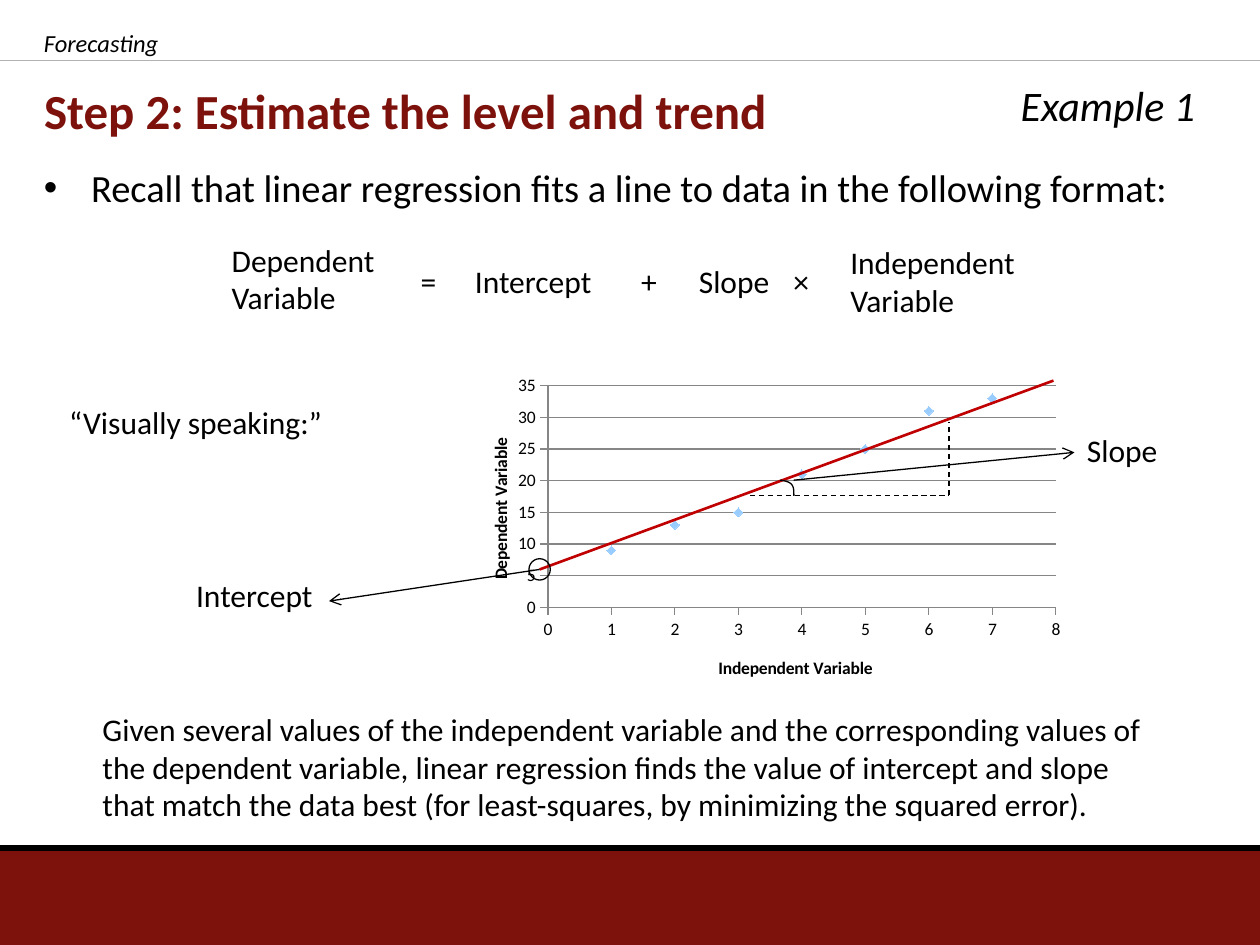
from lxml import etree
from pptx import Presentation
from pptx.chart.data import XyChartData
from pptx.dml.color import RGBColor
from pptx.enum.chart import XL_CHART_TYPE as ChartType, XL_MARKER_STYLE as Marker, XL_TICK_MARK as Tick
from pptx.enum.dml import MSO_LINE_DASH_STYLE as Dash
from pptx.enum.shapes import MSO_CONNECTOR as Connector, MSO_SHAPE as Shape
from pptx.enum.text import MSO_ANCHOR as Anchor, PP_ALIGN as Align
from pptx.oxml import parse_xml
from pptx.oxml.ns import nsdecls, qn
from pptx.util import Pt

FONT = "Calibri"
BLACK = RGBColor(0x00, 0x00, 0x00)
MAROON = RGBColor(0x7D, 0x11, 0x0C)
RULE_GRAY = RGBColor(0xB0, 0xB2, 0xB4)
GRID_GRAY = RGBColor(0x86, 0x86, 0x86)
TREND_RED = RGBColor(0xC0, 0x00, 0x00)
POINT_BLUE = RGBColor(0x99, 0xCC, 0xFF)


def set_font(font, size, color=BLACK, bold=False, italic=False):
    font.name, font.size, font.bold, font.italic = FONT, Pt(size), bold, italic
    font.color.rgb = color


def add_text(slide, box, text, size=18, italic=False, align=Align.LEFT, wrap=True):
    frame = slide.shapes.add_textbox(*map(Pt, box)).text_frame
    frame.word_wrap = wrap
    paragraph = frame.paragraphs[0]
    paragraph.text = text
    paragraph.alignment = align
    set_font(paragraph.font, size, italic=italic)
    return paragraph


def add_line(slide, start, end, color=BLACK, width=0.75, arrow=False, dashed=False):
    line = slide.shapes.add_connector(Connector.STRAIGHT, *map(Pt, (*start, *end)))
    line.line.color.rgb = color
    line.line.width = Pt(width)
    if dashed:
        line.line.dash_style = Dash.DASH
    if arrow:
        etree.SubElement(line.line._get_or_add_ln(), qn("a:tailEnd"), type="arrow")
    etree.SubElement(line._element.spPr, qn("a:effectLst"))


def set_layout(parent, position, after=None, inner=False):
    """Fix the place of a chart part, in fractions of the chart."""
    for old in parent.findall(qn("c:layout")):
        parent.remove(old)
    target = '<c:layoutTarget val="inner"/>' if inner else ""
    modes = "".join(f'<c:{axis}Mode val="edge"/>' for axis in "xy")
    values = "".join(f'<c:{key} val="{value}"/>' for key, value in zip("xywh", position))
    layout = parse_xml(f'<c:layout {nsdecls("c")}><c:manualLayout>{target}{modes}{values}'
                       "</c:manualLayout></c:layout>")
    parent.insert(0 if after is None else parent.index(after) + 1, layout)


def add_page_frame(slide, width, height):
    footer_height = 54
    footer = slide.shapes.add_shape(Shape.RECTANGLE, 0, Pt(height - footer_height),
                                    Pt(width), Pt(footer_height))
    footer.shadow.inherit = False
    footer.fill.solid()
    footer.fill.fore_color.rgb = MAROON
    footer.line.fill.background()
    for y, color, weight in ((34.5, RULE_GRAY, 0.75), (484.5, BLACK, 3.75)):
        add_line(slide, (0, y), (width, y), color, weight)


def add_heading(slide, left, top, width):
    # Chapter, title and example number
    add_text(slide, (left, top, 390, 24), "Forecasting", 14, italic=True)
    title = slide.shapes.title
    title.left, title.top, title.width, title.height = map(Pt, (left, top + 29.8, width, 42))
    title.text = "Step 2: Estimate the level and trend"
    title.text_frame.vertical_anchor = Anchor.MIDDLE
    paragraph = title.text_frame.paragraphs[0]
    paragraph.alignment = Align.LEFT
    set_font(paragraph.font, 28, MAROON, bold=True)
    add_text(slide, (left + width - 152, top + 29.5, 162, 36), "Example 1", 24,
             italic=True, align=Align.RIGHT)


def add_recall(slide, left, top, width):
    recall = add_text(slide, (left, top, width, 40),
                      "Recall that linear regression fits a line to data in the following format:", 22)
    properties = recall._p.get_or_add_pPr()
    properties.set("marL", str(Pt(27)))
    properties.set("indent", str(Pt(-27)))
    properties.insert(0, parse_xml(f'<a:buFont {nsdecls("a")} typeface="Arial"/>'))
    properties.insert(1, parse_xml(f'<a:buChar {nsdecls("a")} char="•"/>'))


def add_equation(slide, left, top):
    terms = [("Dependent Variable", 0, -12.2, 143), ("=", 108, 0, 32),
             ("Intercept", 139, 0, 92), ("+", 234, 0, 32), ("Slope", 267, 0, 88),
             ("×", 321, 0, 32), ("Independent Variable", 353.5, -11, 143)]
    for term, x, y, width in terms:
        add_text(slide, (left + x, top + y, width, 29), term)


def add_regression_chart(slide, left, top, width, height):
    data = XyChartData()
    observations = data.add_series("Series 1")
    for x, y in enumerate((9, 13, 15, 21, 25, 31, 33), start=1):
        observations.add_data_point(x, y)
    chart = slide.shapes.add_chart(ChartType.XY_SCATTER, *map(Pt, (left, top, width, height)),
                                   data).chart
    chart.has_legend = chart.has_title = False
    set_font(chart.font, 10)
    set_layout(chart._chartSpace.chart.plotArea, (0.15, 0.05, 0.82, 0.68), inner=True)
    plot = chart.plots[0]
    plot.vary_by_categories = False
    series = plot.series[0]
    series.smooth = False
    series.format.line.fill.background()
    series.marker.style = Marker.DIAMOND
    series.marker.size = 5
    series.marker.format.fill.solid()
    series.marker.format.fill.fore_color.rgb = POINT_BLUE
    series.marker.format.line.color.rgb = POINT_BLUE

    axes = [(chart.category_axis, "Independent Variable", 8, 1, (0.42, 0.87)),
            (chart.value_axis, "Dependent Variable", 35, 5, (0.05, 0.2))]
    for axis, name, maximum, step, title_position in axes:
        axis.minimum_scale, axis.maximum_scale, axis.major_unit = 0, maximum, step
        axis.major_tick_mark, axis.minor_tick_mark = Tick.OUTSIDE, Tick.NONE
        axis.has_major_gridlines = axis is chart.value_axis
        axis.format.line.color.rgb = GRID_GRAY
        axis.tick_labels.number_format = "General"
        axis.tick_labels.number_format_is_linked = False
        set_font(axis.tick_labels.font, 10)
        title = axis.axis_title
        title.text_frame.text = name
        set_font(title.text_frame.paragraphs[0].font, 10, bold=True)
        set_layout(title._element, title_position, after=title._element.find(qn("c:tx")))
    chart.value_axis.major_gridlines.format.line.color.rgb = GRID_GRAY


def add_angle_arc(slide, left, top, width, height):
    # Cubic curve from the trend line down to the run of the slope
    controls = ((0, 0), (1, 0.1), (1, 0.4), (1, 1))

    def point(t):
        weights = ((1 - t) ** 3, 3 * t * (1 - t) ** 2, 3 * t ** 2 * (1 - t), t ** 3)
        x, y = (sum(w * c[i] for w, c in zip(weights, controls)) for i in (0, 1))
        return Pt(left + width * x), Pt(top + height * y)

    builder = slide.shapes.build_freeform(*point(0))
    builder.add_line_segments([point(step / 12) for step in range(1, 13)], close=False)
    arc = builder.convert_to_shape()
    arc.shadow.inherit = False
    arc.fill.background()
    arc.line.color.rgb = BLACK
    arc.line.width = Pt(0.75)


def add_chart_notes(slide, left, top):
    def at(x, y):
        return left + x, top + y

    # Trend line and its intercept
    intercept, corner, radius = at(48.4, 114.4), at(282.3, 72), 6.1
    add_line(slide, intercept, at(342, 6.5), TREND_RED, 1.5)
    circle = slide.shapes.add_shape(Shape.OVAL, Pt(intercept[0] - radius), Pt(intercept[1] - radius),
                                    Pt(2 * radius), Pt(2 * radius))
    circle.shadow.inherit = False
    circle.fill.background()
    circle.line.color.rgb = BLACK
    circle.line.width = Pt(0.75)
    add_line(slide, intercept, at(-72, 132.5), arrow=True)
    add_text(slide, (*at(-155, 114.5), 83, 29), "Intercept", wrap=False)

    # Slope triangle
    add_line(slide, at(168.5, 72), corner, dashed=True)
    add_line(slide, corner, at(282.3, 30), dashed=True)
    add_angle_arc(slide, *at(185.7, 63.4), 8, 9)
    add_line(slide, at(193.5, 63.4), at(354, 47.5), arrow=True)
    add_text(slide, (*at(354, 31.5), 55.5, 29), "Slope", wrap=False)


def main():
    deck = Presentation()
    width, height = 720, 540
    deck.slide_width, deck.slide_height = Pt(width), Pt(height)
    slide = deck.slides.add_slide(deck.slide_layouts[5])
    add_page_frame(slide, width, height)
    add_heading(slide, 18, 12.2, 662)
    add_recall(slide, 18, 90, 662)
    add_equation(slide, 125.3, 146.2)
    add_regression_chart(slide, 260, 211, 354, 186.5)
    add_text(slide, (32.4, 227, 207, 29), "“Visually speaking:”")
    add_chart_notes(slide, 260, 211)
    # Conclusion
    add_text(slide, (51.5, 402, 618, 73),
             "Given several values of the independent variable and the corresponding values of "
             "the dependent variable, linear regression finds the value of intercept and slope "
             "that match the data best (for least-squares, by minimizing the squared error).")
    deck.save("out.pptx")


if __name__ == "__main__":
    main()
